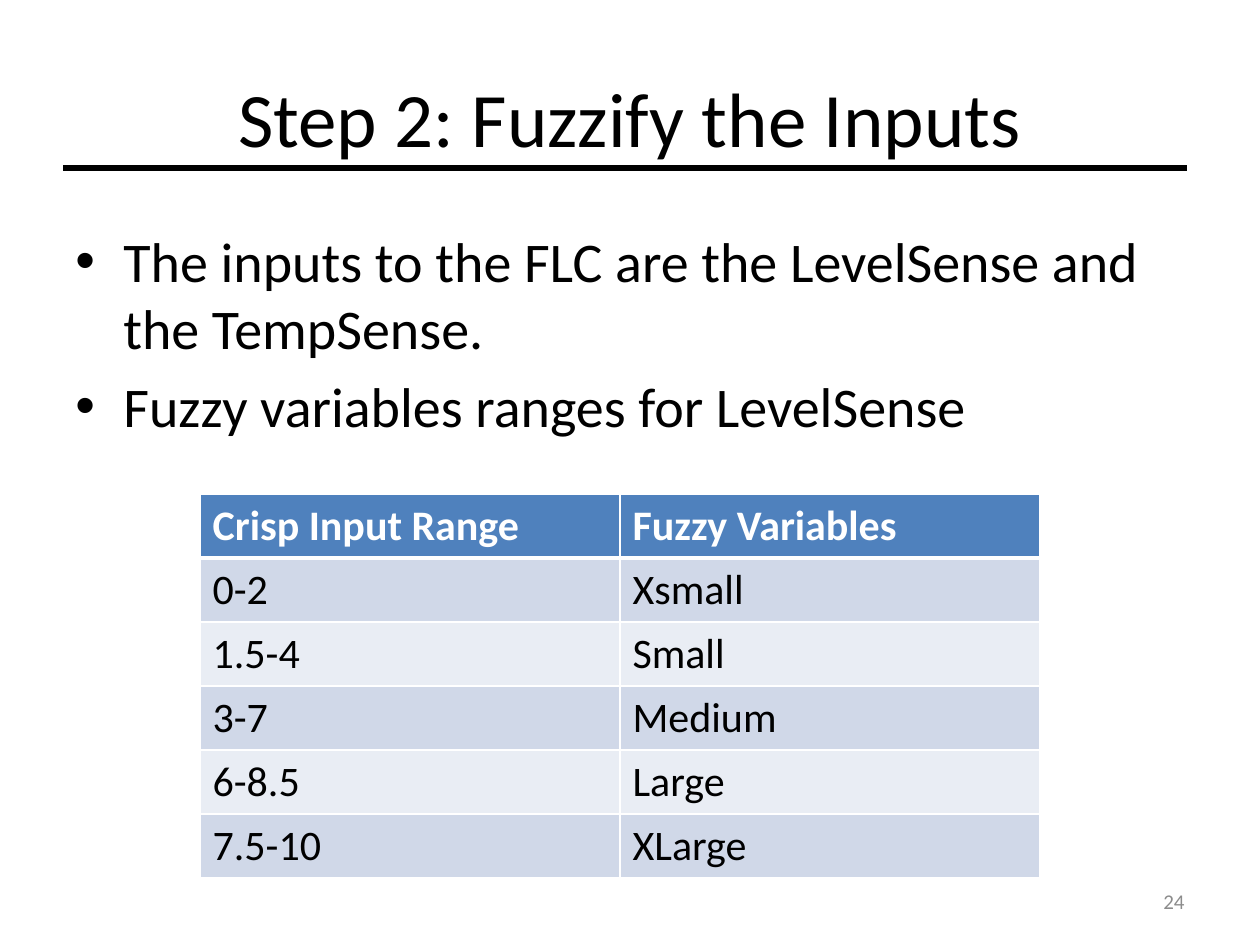
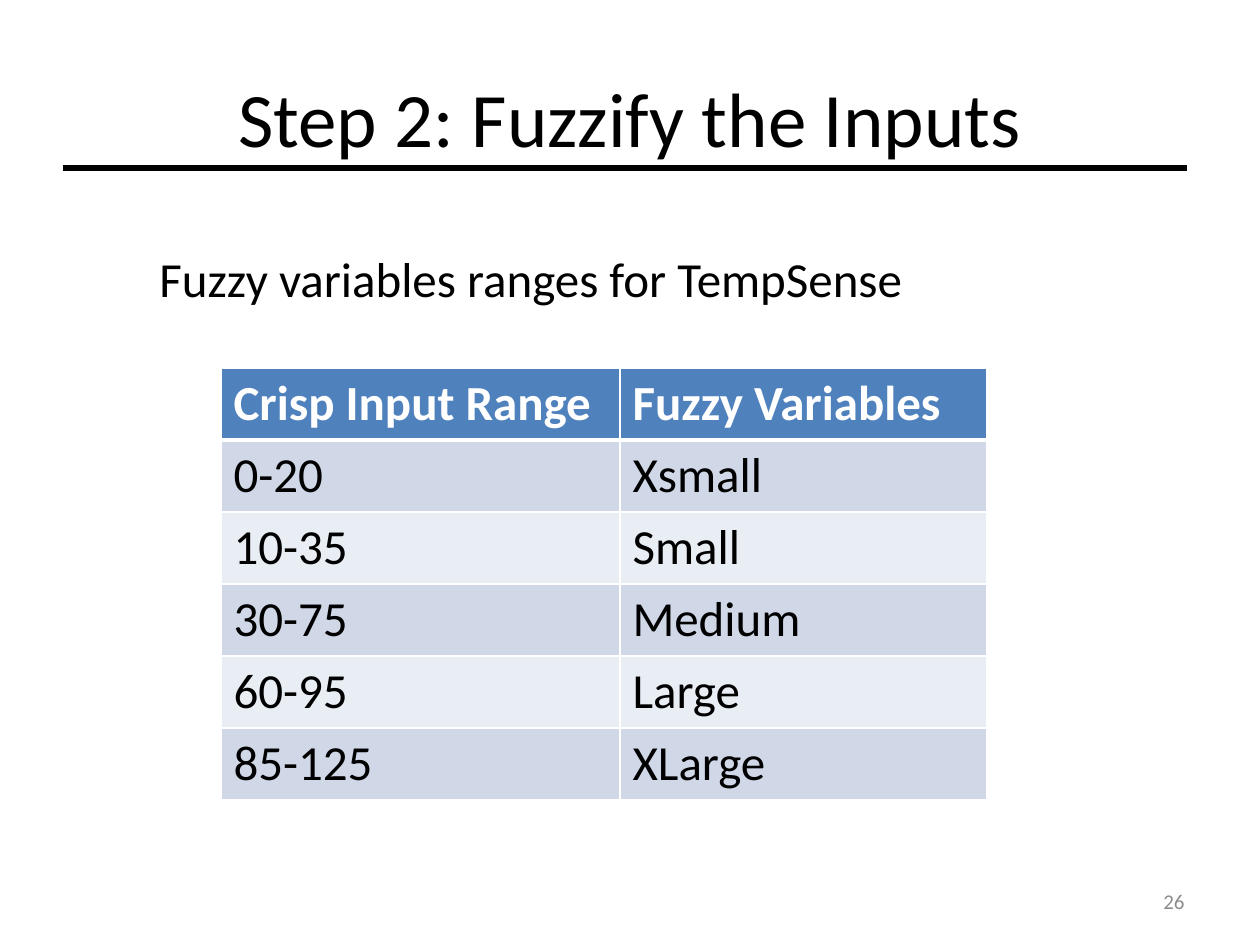
from dataclasses import dataclass

from lxml import etree
from pptx import Presentation, util as u
from pptx.dml.color import RGBColor
from pptx.enum import shapes, text
from pptx.oxml.ns import qn

HEAD = ("Crisp Input Range", "Fuzzy Variables")
SIZES = ("Xsmall", "Small", "Medium", "Large", "XLarge")
TITLE = "Step 2: Fuzzify the Inputs"

PAGES = [
    dict(
        num="24",
        points=["The inputs to the FLC are the LevelSense and the TempSense.",
                "Fuzzy variables ranges for LevelSense"],
        ranges=("0-2", "1.5-4", "3-7", "6-8.5", "7.5-10"),
        at=(200, 494), cols=(420, 420), row=64, size=24,
    ),
    dict(
        num="26",
        label="Fuzzy variables ranges for TempSense",
        ranges=("0-20", "10-35", "30-75", "60-95", "85-125"),
        at=(221, 368), cols=(399, 367), row=72, size=28,
    ),
]


@dataclass(frozen=True)
class Theme:
    font: str = "Calibri"
    ink: str = "000000"
    white: str = "FFFFFF"
    gray: str = "8C8C8C"
    head: str = "4F81BD"
    bands: tuple = ("D0D8E8", "E9EDF4")
    title: int = 44
    body: int = 32
    label: int = 28
    foot: int = 12
    rule: int = 3


T = Theme()
TITLE_BOX = (63, 38, 1134, 157)
BODY_BOX = (63, 220, 1134, 662)
LABEL_BOX = (147, 242, 776, 72)
NUM_BOX = (903, 876, 294, 50)
RULE = (63, 168, 1187, 168)
INDENT = 48


def px(n):
    return u.Emu(round(n * 914400 / 126))


def rgb(tone):
    return RGBColor.from_string(tone)


def style(par, size, tone=T.ink, bold=False, align=text.PP_ALIGN.LEFT):
    par.alignment = align
    font = par.font
    font.name, font.size, font.bold = T.font, u.Pt(size), bold
    font.color.rgb = rgb(tone)


def add_box(slide, box, lines, wrap=True):
    frame = slide.shapes.add_textbox(*map(px, box)).text_frame
    frame.word_wrap = wrap
    frame.text = "\n".join(lines)
    return frame


def add_title(slide):
    title = slide.shapes.title
    title.left, title.top, title.width, title.height = map(px, TITLE_BOX)
    frame = title.text_frame
    frame.text = TITLE
    frame.vertical_anchor = text.MSO_ANCHOR.MIDDLE
    style(frame.paragraphs[0], T.title, align=text.PP_ALIGN.CENTER)


def add_rule(slide):
    line = slide.shapes.add_connector(
        shapes.MSO_CONNECTOR.STRAIGHT, *map(px, RULE))
    line.line.color.rgb = rgb(T.ink)
    line.line.width = u.Pt(T.rule)
    etree.SubElement(line._element.spPr, qn("a:effectLst"))


def add_num(slide, num):
    frame = add_box(slide, NUM_BOX, [num])
    frame.vertical_anchor = text.MSO_ANCHOR.MIDDLE
    style(frame.paragraphs[0], T.foot, T.gray, align=text.PP_ALIGN.RIGHT)


def add_points(slide, points):
    for i, par in enumerate(add_box(slide, BODY_BOX, points).paragraphs):
        props = par._p.get_or_add_pPr()
        props.set("marL", str(px(INDENT)))
        props.set("indent", str(-px(INDENT)))
        etree.SubElement(props, qn("a:buFont"), typeface="Arial")
        etree.SubElement(props, qn("a:buChar"), char="•")
        if i:
            par.space_before = u.Pt(T.body * 0.2)
        style(par, T.body)


def add_label(slide, label):
    frame = add_box(slide, LABEL_BOX, [label], wrap=False)
    frame.auto_size = text.MSO_AUTO_SIZE.SHAPE_TO_FIT_TEXT
    style(frame.paragraphs[0], T.label)


def add_edges(cell, top, base):
    props = cell._tc.get_or_add_tcPr()
    for side, wide in (("L", 1), ("R", 1), ("T", top), ("B", base)):
        edge = etree.SubElement(props, qn("a:ln" + side), w=str(u.Pt(wide)))
        fill = etree.SubElement(edge, qn("a:solidFill"))
        etree.SubElement(fill, qn("a:srgbClr"), val=T.white)


def add_grid(slide, page):
    rows = [HEAD, *zip(page["ranges"], SIZES)]
    cols, high = page["cols"], page["row"]
    box = (*page["at"], sum(cols), high * len(rows))
    grid = slide.shapes.add_table(len(rows), len(cols), *map(px, box)).table
    for col, wide in zip(grid.columns, cols):
        col.width = px(wide)
    for r, row in enumerate(rows):
        grid.rows[r].height = px(high)
        top = r == 0
        for c, word in enumerate(row):
            cell = grid.cell(r, c)
            cell.text = word
            add_edges(cell, 3 if r == 1 else 1, 3 if top else 1)
            cell.fill.solid()
            cell.fill.fore_color.rgb = rgb(T.head if top else T.bands[(r - 1) % 2])
            style(cell.text_frame.paragraphs[0], page["size"],
                  T.white if top else T.ink, top)


def main():
    deck = Presentation()
    deck.slide_width, deck.slide_height = px(1260), px(945)
    for page in PAGES:
        slide = deck.slides.add_slide(deck.slide_layouts[5])
        add_title(slide)
        add_rule(slide)
        if "points" in page:
            add_points(slide, page["points"])
        else:
            add_label(slide, page["label"])
        add_grid(slide, page)
        add_num(slide, page["num"])
    deck.save("out.pptx")


if __name__ == "__main__":
    main()
